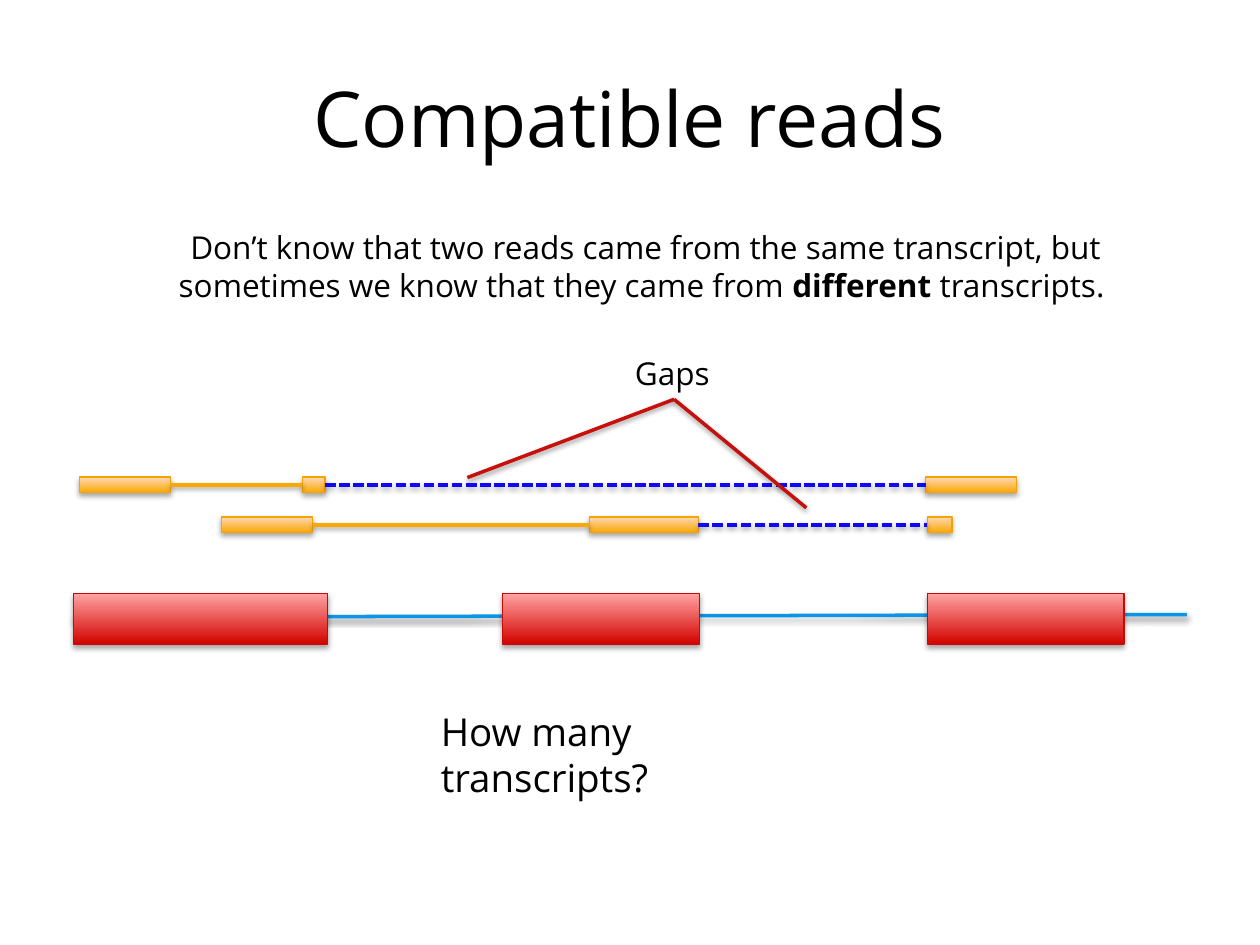
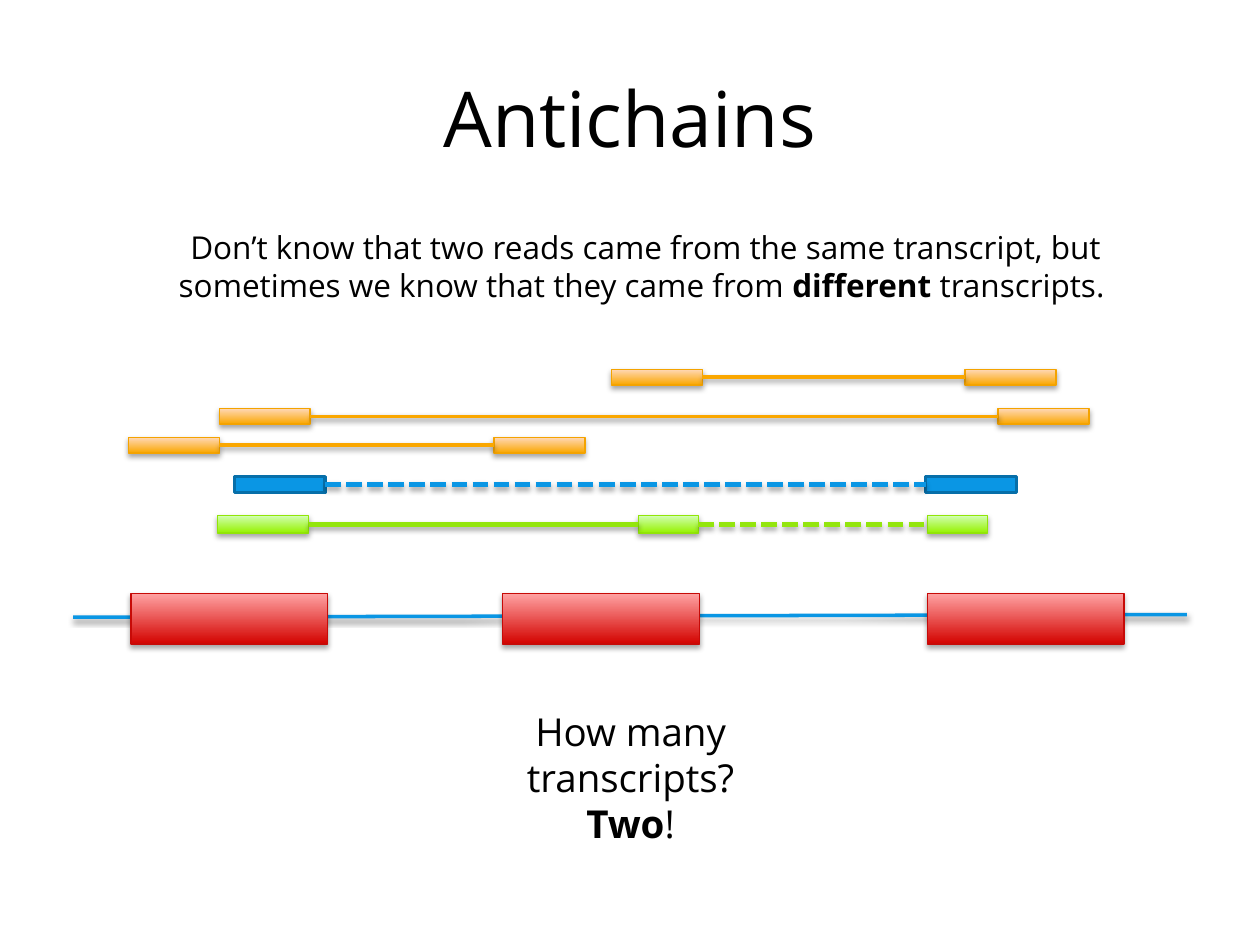
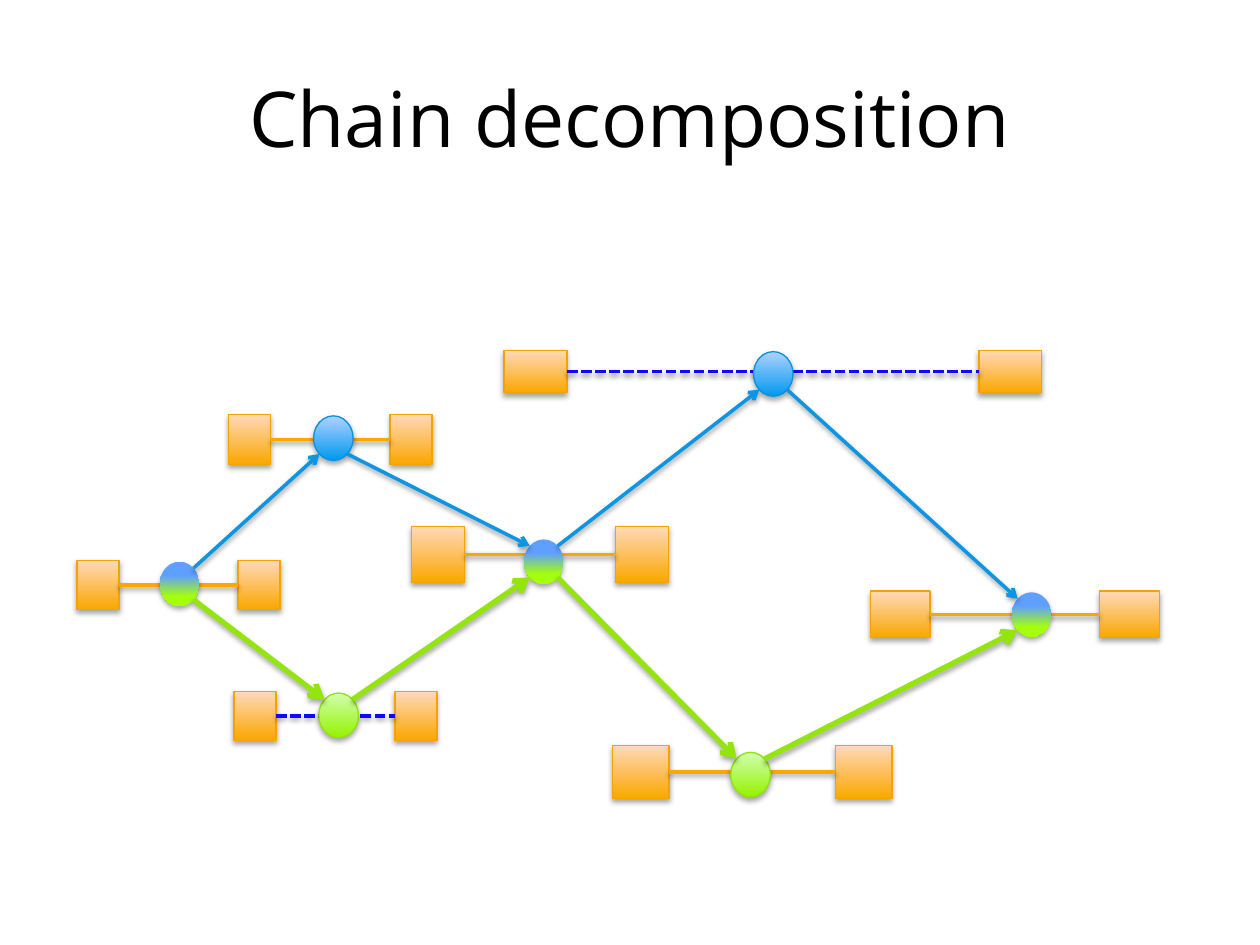
from itertools import pairwise
from math import sqrt

from lxml.etree import SubElement
from pptx import Presentation
from pptx.dml.color import RGBColor
from pptx.enum.dml import MSO_LINE
from pptx.enum.shapes import MSO_CONNECTOR, MSO_SHAPE
from pptx.enum.text import MSO_ANCHOR, MSO_AUTO_SIZE, PP_ALIGN
from pptx.oxml.ns import qn
from pptx.util import Pt

BLACK = RGBColor(0x00, 0x00, 0x00)
ORANGE = RGBColor(0xFA, 0xA7, 0x00)
PEACH = RGBColor(0xFF, 0xD9, 0xBA)
AMBER = RGBColor(0xF4, 0xA3, 0x00)
RED = RGBColor(0xD3, 0x03, 0x00)
PINK = RGBColor(0xFF, 0xA3, 0xA3)
BRICK = RGBColor(0xC7, 0x0A, 0x07)
CRIMSON = RGBColor(0xC7, 0x0F, 0x0C)
LIME = RGBColor(0x96, 0xF2, 0x00)
MINT = RGBColor(0xD0, 0xFF, 0xB0)
LEAF = RGBColor(0x91, 0xE5, 0x07)
GREEN = RGBColor(0x93, 0xE5, 0x0D)
AZURE = RGBColor(0x00, 0x99, 0xEE)
SKY = RGBColor(0xB0, 0xD1, 0xFF)
OCEAN = RGBColor(0x04, 0x94, 0xE4)
BLUE = RGBColor(0x0A, 0x96, 0xE4)
NAVY = RGBColor(0x07, 0x6F, 0xA9)
INDIGO = RGBColor(0x0F, 0x08, 0xFF)
STEEL = RGBColor(0x5F, 0x9F, 0xFF)
NEON = RGBColor(0xA4, 0xFE, 0x0D)

UP, DOWN = 90, 270
PAINTS = {
    "read": dict(stops=[(0, ORANGE), (1, PEACH)], angle=UP, edge=AMBER),
    "exon": dict(stops=[(0, RED), (1, PINK)], angle=UP, edge=BRICK),
    "lime": dict(stops=[(0, LIME), (1, MINT)], angle=UP, edge=LEAF),
    "sky": dict(stops=[(0, AZURE), (1, SKY)], angle=UP, edge=OCEAN),
    "mixed": dict(stops=[(0.31, STEEL), (0.77, NEON)], angle=DOWN, edge=None),
    "flat": dict(solid=BLUE, edge=NAVY, weight=2),
}
SOLID = dict(color=ORANGE)
GAP = dict(color=INDIGO, dash=True)
BASE = {"name": "Open Sans", "bold": False}
BODY = {"size": Pt(18), "color": BLACK}
TITLE = {"size": Pt(44), "color": BLACK}
ASK = {"size": Pt(22), "color": BLACK}


def shade(effects, alpha, dist):
    outer = SubElement(effects, qn("a:outerShdw"), blurRad=str(Pt(3.1)),
                       dist=str(Pt(dist)), dir="5400000", rotWithShape="0")
    tint = SubElement(outer, qn("a:srgbClr"), val=str(BLACK))
    SubElement(tint, qn("a:alpha"), val=str(alpha * 1000))


def block(slide, left, top, width, height, paint, kind=MSO_SHAPE.RECTANGLE):
    shape = slide.shapes.add_shape(kind, Pt(left), Pt(top), Pt(width), Pt(height))
    look = PAINTS[paint]
    if "solid" in look:
        shape.fill.solid()
        shape.fill.fore_color.rgb = look["solid"]
    else:
        shape.fill.gradient()
        shape.fill.gradient_angle = look["angle"]
        for stop, (place, color) in zip(shape.fill.gradient_stops, look["stops"]):
            stop.position = place
            stop.color.rgb = color
    if look["edge"] is None:
        shape.line.fill.background()
    else:
        shape.line.color.rgb = look["edge"]
        shape.line.width = Pt(look.get("weight", 0.75))
    shape.shadow.inherit = False
    if "stops" in look:
        shade(shape._element.spPr.find(qn("a:effectLst")), 35, 1.8)


def link(slide, start, end, color, weight=2, dash=False, arrow=False):
    line = slide.shapes.add_connector(
        MSO_CONNECTOR.STRAIGHT, *(Pt(value) for value in (*start, *end)))
    line.line.color.rgb = color
    line.line.width = Pt(weight)
    if dash:
        line.line.dash_style = MSO_LINE.SQUARE_DOT
    if arrow:
        SubElement(line.line._get_or_add_ln(), qn("a:tailEnd"), type="arrow")
    effects = SubElement(line._element.spPr, qn("a:effectLst"))
    shade(effects, *((38, 1.6) if weight == 2 else (35, 1.8)))


def write(frame, paras, style, align):
    for index, runs in enumerate(paras):
        para = frame.add_paragraph() if index else frame.paragraphs[0]
        para.alignment = align
        for words, bold in runs:
            run = para.add_run()
            run.text = words
            for key, value in {**BASE, **style, "bold": bold}.items():
                if key == "color":
                    run.font.color.rgb = value
                else:
                    setattr(run.font, key, value)


def label(slide, left, top, width, height, paras, style, align=PP_ALIGN.CENTER):
    box = slide.shapes.add_textbox(Pt(left), Pt(top), Pt(width), Pt(height))
    frame = box.text_frame
    frame.word_wrap = True
    frame.auto_size = MSO_AUTO_SIZE.SHAPE_TO_FIT_TEXT
    write(frame, paras, style, align)


def start(deck, words):
    slide = deck.slides.add_slide(deck.slide_layouts[5])
    title = slide.shapes.title
    place = dict(left=Pt(36), top=Pt(21.6), width=Pt(648), height=Pt(90))
    for key, value in place.items():
        setattr(title, key, value)
    title.text_frame.vertical_anchor = MSO_ANCHOR.MIDDLE
    write(title.text_frame, [[(words, None)]], TITLE, PP_ALIGN.CENTER)
    return slide


def intro(slide):
    label(slide, 69.1, 126.7, 599.8, 51.1, [[
        ("Don’t know that two reads came from the same transcript, but "
         "sometimes we know that they came from ", False),
        ("different ", True), ("transcripts. ", False)]], BODY)


def gene(slide, left, top, first):
    link(slide, (left, top + 13.7), (left + 636.5, top + 12.2), BLUE)
    for x, width in (first, (245.5, 112.3), (488.2, 112.3)):
        block(slide, left + x, top, width, 29, "exon")


def tracks(slide, left, top, rows):
    for y, height, paint, parts, joins in rows:
        mid = top + y + height / 2
        for x, width in parts:
            block(slide, left + x, top + y, width, height, paint)
        for ((x, width), (after, _)), join in zip(pairwise(parts), joins):
            link(slide, (left + x + width, mid), (left + after, mid), **join)


def gaps(slide, left, top):
    label(slide, left, top, 58.3, 28.8, [[("Gaps", False)]], BODY, PP_ALIGN.LEFT)
    for x, y in ((-88.6, 74.2), (105.1, 91.5)):
        link(slide, (left + 29.5, top + 29.5), (left + x, top + y), CRIMSON)


def chain(slide, left, top, reads, paths):
    wide, high = 22.5, 25.5
    spots = {}
    for name, (x, y, span, width, height, join, paint, cx, cy) in reads.items():
        tracks(slide, left + x, top + y,
               [(0, height, "read", [(0, width), (span - width, width)], [join])])
        spots[name] = left + cx, top + cy
        block(slide, left + cx - wide / 2, top + cy - high / 2, wide, high,
              paint, MSO_SHAPE.OVAL)
    dx, dy = wide / 2 / sqrt(2), high / 2 / sqrt(2)
    for names, color, weight in paths:
        for source, target in pairwise(names):
            (x, y), (after, below) = spots[source], spots[target]
            lean = dy if below > y else -dy
            link(slide, (x + dx, y + lean), (after - dx, below - lean),
                 color, weight, arrow=True)


deck = Presentation()
deck.slide_width, deck.slide_height = Pt(720), Pt(540)
SIDE, GENE, ROWS, READ = 41.8, 339, 211, 52

slide = start(deck, "Compatible reads")
intro(slide)
gene(slide, SIDE, GENE, (0, 145.4))
tracks(slide, SIDE, ROWS, [
    (61.6, 9, "read", [(3.6, READ), (131, 13), (487.2, READ)], [SOLID, GAP]),
    (84.4, 9, "read", [(84.8, READ), (295.1, 62.2), (488.2, 14)], [SOLID, GAP]),
])
label(slide, 244.8, 401, 231.1, 33.8, [[("How many transcripts?", False)]],
      ASK, PP_ALIGN.LEFT)
gaps(slide, 355.7, 198.7)

slide = start(deck, "Antichains")
intro(slide)
label(slide, 244.8, 401, 231.1, 87.1,
      [[("How many transcripts?", False)], [("Two", True), ("!", False)]], ASK)
gene(slide, SIDE, GENE, (33.1, 112.3))
thick = dict(color=GREEN, weight=3)
tracks(slide, SIDE, ROWS, [
    (0, 9, "read", [(307.5, READ), (509.7, READ)], [SOLID]),
    (22.4, 9, "read", [(83.5, READ), (528.6, READ)], [SOLID]),
    (38.9, 9, "read", [(31.5, READ), (240.5, READ)], [SOLID]),
    (61.4, 9, "flat", [(92.1, READ), (487.2, READ)],
     [dict(color=BLUE, weight=3, dash=True)]),
    (83.6, 10, "lime", [(82.6, READ), (323, 34.2), (488.2, 34.2)],
     [thick, {**thick, "dash": True}]),
])

slide = start(deck, "Chain decomposition")
chain(slide, 44, 200, {
    "first": (0, 120.4, 116, 24, 28, SOLID, "mixed", 58.6, 133.7),
    "upper": (86.4, 36.9, 116.5, 24, 28.5, SOLID, "sky", 146.5, 50.4),
    "lower": (89.7, 195.2, 116, 24, 28, GAP, "lime", 149.5, 208.8),
    "middle": (191.1, 100.8, 147, 30.3, 32, SOLID, "mixed", 266.7, 121),
    "top": (244, 0.2, 307.4, 36, 24.3, GAP, "sky", 397.9, 13.7),
    "bottom": (305.9, 226, 159.8, 32.4, 30.4, SOLID, "lime", 384.9, 242.7),
    "last": (453.4, 137.8, 165, 34, 26.6, SOLID, "mixed", 545.5, 151.2),
}, [
    (("first", "upper", "middle", "top", "last"), BLUE, 2),
    (("first", "lower", "middle", "bottom", "last"), GREEN, 3),
])

deck.save("out.pptx")
